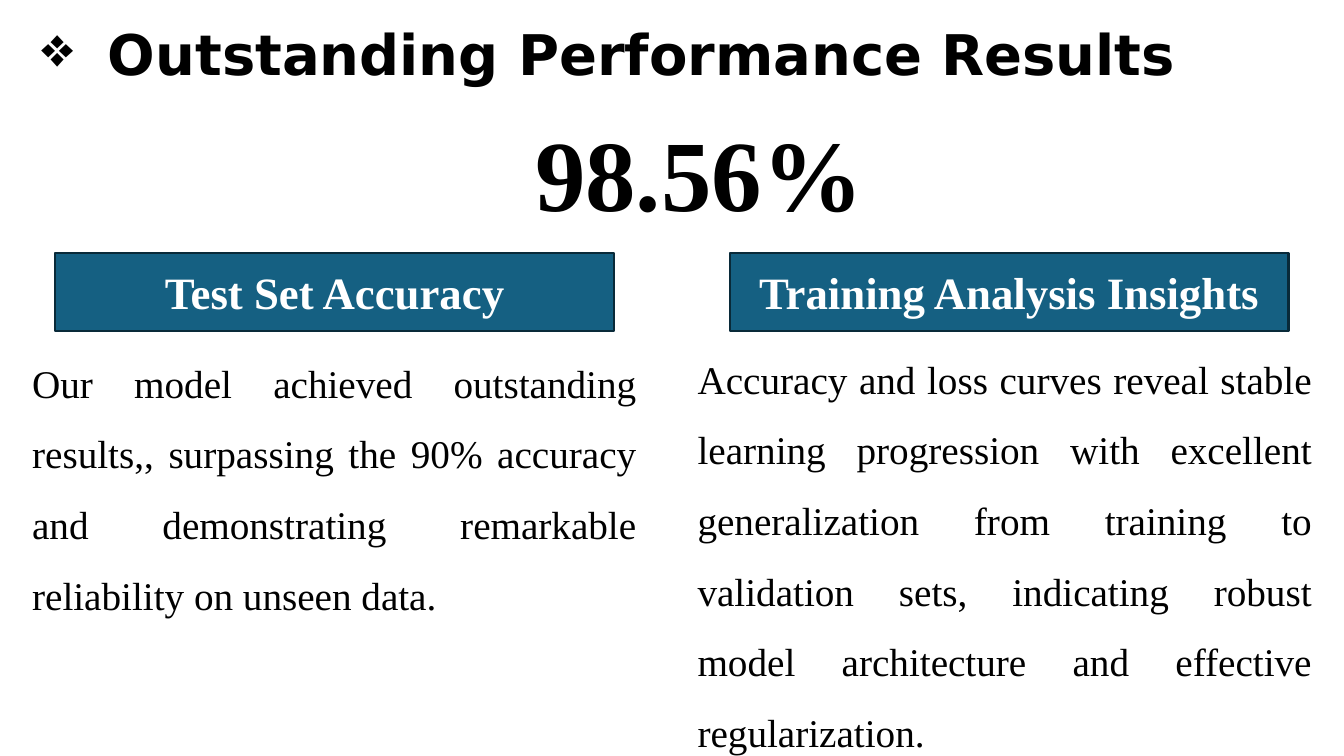
from lxml import etree
from pptx import Presentation
from pptx.dml.color import RGBColor
from pptx.enum.shapes import MSO_SHAPE
from pptx.enum.text import MSO_ANCHOR, MSO_AUTO_SIZE, PP_ALIGN
from pptx.oxml.ns import qn
from pptx.util import Inches, Pt

PROCESS = MSO_SHAPE.FLOWCHART_PROCESS
TOP, MIDDLE = MSO_ANCHOR.TOP, MSO_ANCHOR.MIDDLE
FIXED_SIZE = MSO_AUTO_SIZE.NONE
LEFT, CENTER, JUSTIFY = PP_ALIGN.LEFT, PP_ALIGN.CENTER, PP_ALIGN.JUSTIFY

SERIF = "Times New Roman"
BLACK, WHITE, TEAL, DARK_TEAL = "000000", "FFFFFF", "156082", "092A39"

TITLE_FONT = {"name": "DejaVu Sans", "size": Pt(40), "bold": True}
FIGURE_FONT = {"name": SERIF, "size": Pt(72), "bold": True}
HEADING_FONT = {"name": SERIF, "size": Pt(32), "bold": True}
BODY_FONT = {"name": SERIF, "size": Pt(28), "bold": False}

HEADING_TOP, HEADING_WIDTH, HEADING_HEIGHT = 2.51, 5.54, 0.77
# heading, heading left, body text, body position (left, top, width, height)
COLUMNS = [
    ("Test Set Accuracy", 0.55,
     "Our model achieved outstanding results,, surpassing the 90% accuracy "
     "and demonstrating remarkable reliability on unseen data.",
     (0.22, 3.28, 6.19, 2.84)),
    ("Training Analysis Insights", 7.24,
     "Accuracy and loss curves reveal stable learning progression with "
     "excellent generalization from training to validation sets, indicating "
     "robust model architecture and effective regularization.",
     (6.82, 3.24, 6.29, 4.26)),
]


def color(hex_value):
    return RGBColor.from_string(hex_value)


def write_text(shape, text, font, hex_value, align=LEFT, anchor=TOP, line_spacing=1.0):
    frame = shape.text_frame
    frame.word_wrap = True
    frame.auto_size = FIXED_SIZE
    frame.vertical_anchor = anchor
    para = frame.paragraphs[0]
    para.alignment = align
    para.line_spacing = line_spacing
    span = para.add_run()
    span.text = text
    for name, value in font.items():
        setattr(span.font, name, value)
    span.font.color.rgb = color(hex_value)
    return para


def add_bullet(para, symbol, indent):
    properties = para._p.get_or_add_pPr()
    properties.set("marL", str(Inches(indent)))
    properties.set("indent", str(-Inches(indent)))
    etree.SubElement(properties, qn("a:buChar")).set("char", symbol)


def place_title(page, text):
    title = page.shapes.title
    title.left, title.top = Inches(0.31), Inches(0.14)
    title.width, title.height = Inches(11.57), Inches(0.77)
    para = write_text(title, text, TITLE_FONT, BLACK)
    add_bullet(para, "❖", 0.66)


def add_text(page, position, text, font, **layout):
    box = page.shapes.add_textbox(*map(Inches, position))
    write_text(box, text, font, BLACK, **layout)


def add_heading(page, left, text):
    position = (left, HEADING_TOP, HEADING_WIDTH, HEADING_HEIGHT)
    box = page.shapes.add_shape(PROCESS, *map(Inches, position))
    box.shadow.inherit = False
    box.fill.solid()
    box.fill.fore_color.rgb = color(TEAL)
    box.line.color.rgb = color(DARK_TEAL)
    box.line.width = Pt(1.5)
    write_text(box, text, HEADING_FONT, WHITE, align=CENTER, anchor=MIDDLE)


def main():
    deck = Presentation()
    deck.slide_width, deck.slide_height = Inches(13.33), Inches(7.5)
    page = deck.slides.add_slide(deck.slide_layouts.get_by_name("Title Only"))
    place_title(page, "Outstanding Performance Results")
    add_text(page, (5.21, 1.05, 6.66, 1.31), "98.56%", FIGURE_FONT)
    for heading, heading_left, body, body_position in COLUMNS:
        add_heading(page, heading_left, heading)
        add_text(page, body_position, body, BODY_FONT, align=JUSTIFY, line_spacing=1.5)
    deck.save("out.pptx")


if __name__ == "__main__":
    main()
